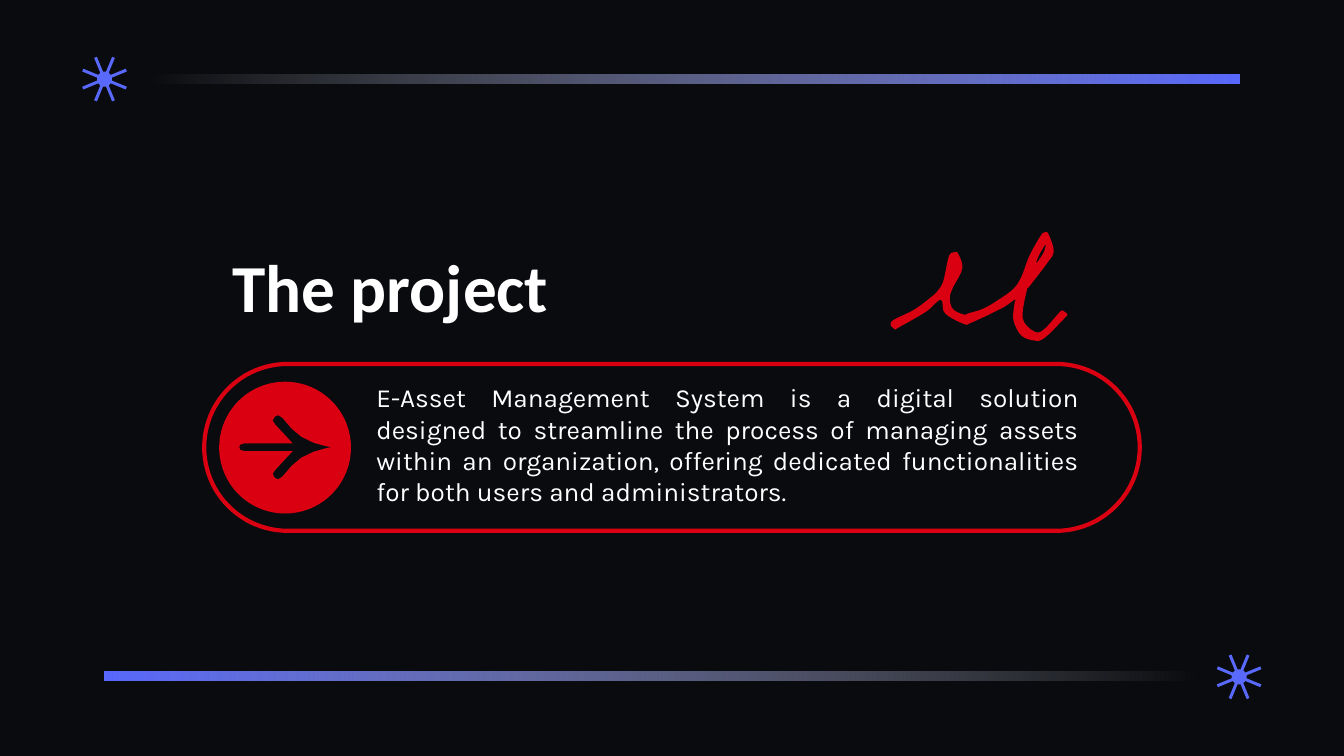
from math import cos, pi, sin

from lxml.etree import SubElement
from pptx import Presentation
from pptx.dml.color import RGBColor
from pptx.enum.shapes import MSO_SHAPE
from pptx.enum.text import MSO_ANCHOR, MSO_AUTO_SIZE, PP_ALIGN
from pptx.oxml.ns import qn
from pptx.util import Pt

NIGHT = RGBColor(0x09, 0x0B, 0x0F)
BLUE = RGBColor(0x59, 0x69, 0xFC)
RED = RGBColor(0xDB, 0x00, 0x11)
WHITE = RGBColor(0xFF, 0xFF, 0xFF)

ARROW_AXIS = 239.6
ARROW_UPPER_EDGE = [
    (128.2, 239.6), (128.8, 238.2), (131, 237.6), (157, 237.6), (147.6, 227.5),
    (146.2, 225.4), (147.2, 223.3), (149, 222.5), (151.2, 223.9), (156.2, 229.7),
    (161.3, 234), (167.8, 237.2), (174.2, 239), (177.1, 239.6),
]
SCRIBBLE = [
    (559.4, 124.6), (557.3, 126.7), (551.5, 137), (547.2, 148.3), (542.9, 154.8),
    (535, 160.6), (527, 165.3), (519.1, 167.8), (516.2, 168.5), (510.5, 165.6),
    (508.8, 159.8), (510.5, 154.1), (515.5, 144), (513.4, 136.1), (511.2, 135.2),
    (508.3, 137.5), (505.4, 150.5), (502.6, 155.5), (499, 159.1), (489.6, 166),
    (478.8, 171.4), (477.2, 174.2), (479.5, 176.4), (481, 175.7), (496.1, 167),
    (504, 160.6), (506.2, 167.8), (516.2, 173.5), (520.6, 172.8), (537.1, 164.9),
    (543.6, 160.6), (543.4, 163.4), (542.9, 171.4), (547, 179.6), (553.7, 182.4),
    (559.4, 181.2), (570.2, 170.6), (571.8, 168.5), (570.2, 167), (568.8, 166.4),
    (566.6, 168.5), (559.4, 176.4), (554.4, 177.8), (547.9, 170.6), (550.1, 155.5),
    (551.5, 153.4), (560.9, 141.1), (564.5, 134.6), (561.6, 125.3),
]
SCRIBBLE_LOOP = [(560.2, 131), (559, 135.5), (555.1, 141.1), (557, 136)]


def smooth(points, steps=5):
    """Closed Catmull-Rom curve through the points."""
    curve = []
    count = len(points)
    for index in range(count):
        corners = [points[(index + shift) % count] for shift in (-1, 0, 1, 2)]
        for step in range(steps):
            t = step / steps
            curve.append(tuple(
                b + t * (c - a) / 2 + t**2 * (2 * a - 5 * b + 4 * c - d) / 2
                + t**3 * (3 * b - a - 3 * c + d) / 2
                for a, b, c, d in zip(*corners)
            ))
    return curve


def star_outline(center_x, center_y, rays=8, length=12.6, core=4, half_width=0.8):
    points = []
    for ray in range(rays):
        angle = (ray + 0.5) * 2 * pi / rays
        for along, across in ((core, -half_width), (length, -half_width),
                              (length, half_width), (core, half_width)):
            points.append((center_x + along * cos(angle) - across * sin(angle),
                           center_y + along * sin(angle) + across * cos(angle)))
    return points


class SlideBuilder:
    def __init__(self, slide):
        self.slide = slide
        self.shapes = slide.shapes
        slide.background.fill.solid()
        slide.background.fill.fore_color.rgb = NIGHT

    def paint(self, shape, color):
        shape.shadow.inherit = False
        shape.fill.solid()
        shape.fill.fore_color.rgb = color
        shape.line.fill.background()
        return shape

    def preset(self, kind, left, top, width, height):
        return self.shapes.add_shape(kind, Pt(left), Pt(top), Pt(width), Pt(height))

    def outline(self, color, *contours):
        builder = None
        for contour in contours:
            start, *rest = [(Pt(x), Pt(y)) for x, y in contour]
            if builder is None:
                builder = self.shapes.build_freeform(*start)
            else:
                builder.move_to(*start)
            builder.add_line_segments(rest)
        return self.paint(builder.convert_to_shape(), color)

    def fading_bar(self, left, top, angle):
        bar = self.paint(self.preset(MSO_SHAPE.RECTANGLE, left, top, 586.8, 4.6), BLUE)
        bar.fill.gradient()
        bar.fill.gradient_angle = angle
        for stop, color in zip(bar.fill.gradient_stops, (BLUE, WHITE)):
            stop.color.rgb = color
        last_color = list(bar.element.iter(qn("a:srgbClr")))[-1]
        SubElement(last_color, qn("a:alpha")).set("val", "0")

    def pill(self, left, top, width, height):
        pill = self.preset(MSO_SHAPE.ROUNDED_RECTANGLE, left, top, width, height)
        pill.shadow.inherit = False
        pill.adjustments[0] = 0.5
        pill.fill.background()
        pill.line.color.rgb = RED
        pill.line.width = Pt(2.25)

    def arrow_badge(self, left, top, size):
        disc = self.paint(self.preset(MSO_SHAPE.OVAL, left, top, size, size), RED)
        lower_edge = [(x, 2 * ARROW_AXIS - y) for x, y in ARROW_UPPER_EDGE[-2:0:-1]]
        arrow = self.outline(NIGHT, ARROW_UPPER_EDGE + lower_edge)
        self.shapes.add_group_shape([disc, arrow])

    def text(self, placeholder, words, box, font_name, size, bold, align, anchor):
        placeholder.left, placeholder.top, placeholder.width, placeholder.height = map(Pt, box)
        frame = placeholder.text_frame
        frame.text = words
        frame.word_wrap = True
        frame.auto_size = MSO_AUTO_SIZE.NONE
        frame.vertical_anchor = anchor
        frame.margin_left = frame.margin_right = Pt(7.2)
        frame.margin_top = frame.margin_bottom = Pt(7.2)
        paragraph = frame.paragraphs[0]
        paragraph.alignment = align
        paragraph.space_before = Pt(0)
        font = paragraph.font
        font.name, font.size, font.bold = font_name, Pt(size), bold
        font.color.rgb = WHITE


def main():
    presentation = Presentation()
    presentation.slide_width, presentation.slide_height = Pt(720), Pt(405)
    slide = presentation.slides.add_slide(presentation.slide_layouts[0])
    builder = SlideBuilder(slide)

    builder.fading_bar(77.3, 40.2, 180)
    builder.fading_bar(55.8, 360, 0)
    for center in ((56, 42.4), (663.8, 362.6)):
        builder.outline(BLUE, star_outline(*center))

    builder.pill(109.4, 195, 501.2, 89.4)
    builder.text(slide.shapes.title, "The project", (117.4, 120.2, 391, 66.2),
                 "Calibri", 36, True, PP_ALIGN.LEFT, MSO_ANCHOR.MIDDLE)
    builder.text(
        slide.placeholders[1],
        "E-Asset Management System is a digital solution designed to streamline "
        "the process of managing assets within an organization, offering dedicated "
        "functionalities for both users and administrators.",
        (194.4, 197.3, 391, 72.7), "Karla", 14, False, PP_ALIGN.JUSTIFY, MSO_ANCHOR.TOP)
    builder.arrow_badge(117.4, 204.5, 70.6)
    builder.outline(RED, smooth(SCRIBBLE), smooth(SCRIBBLE_LOOP))

    presentation.save("out.pptx")


if __name__ == "__main__":
    main()
